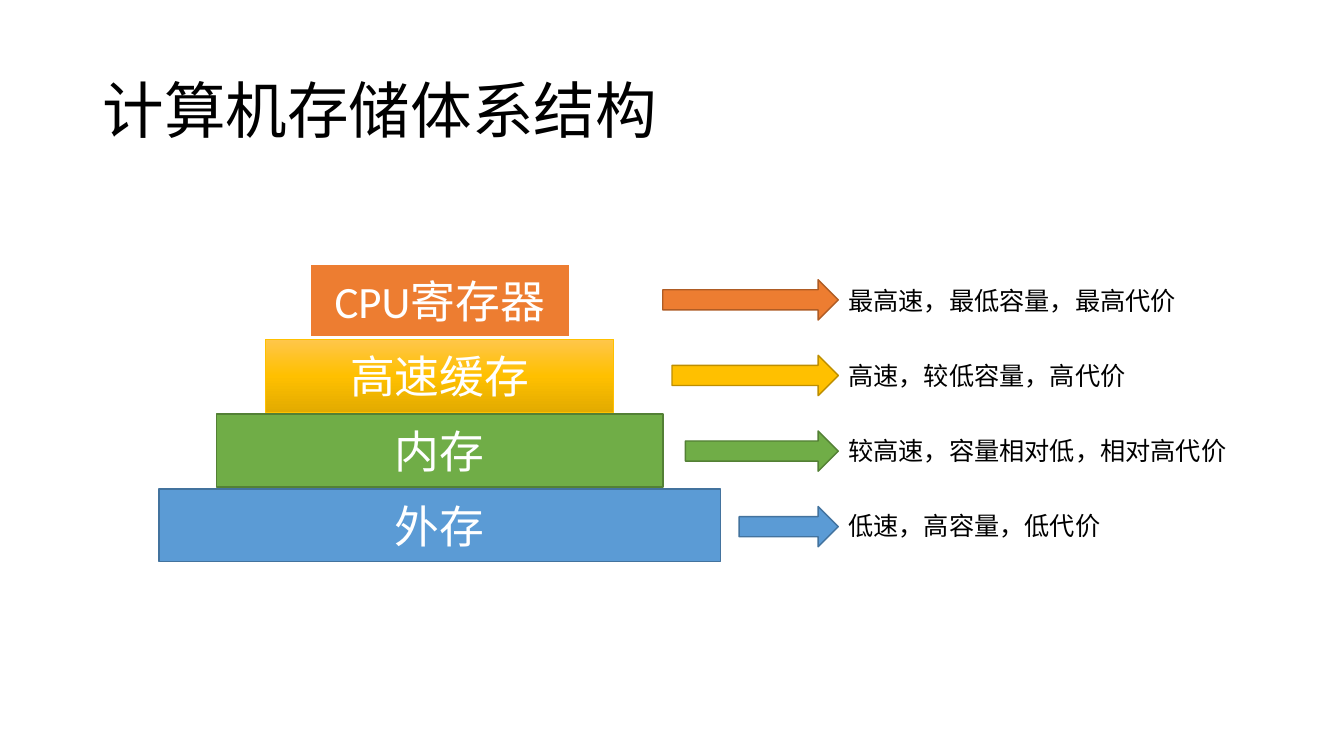
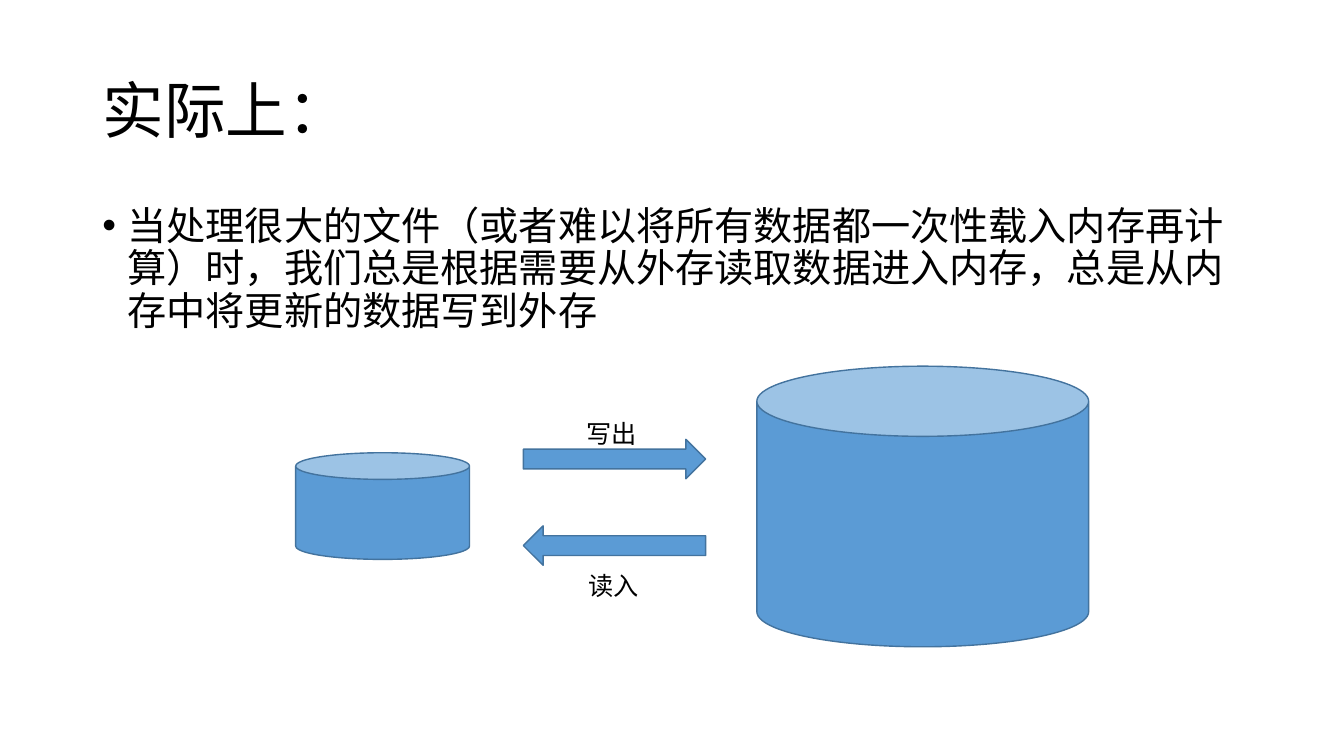
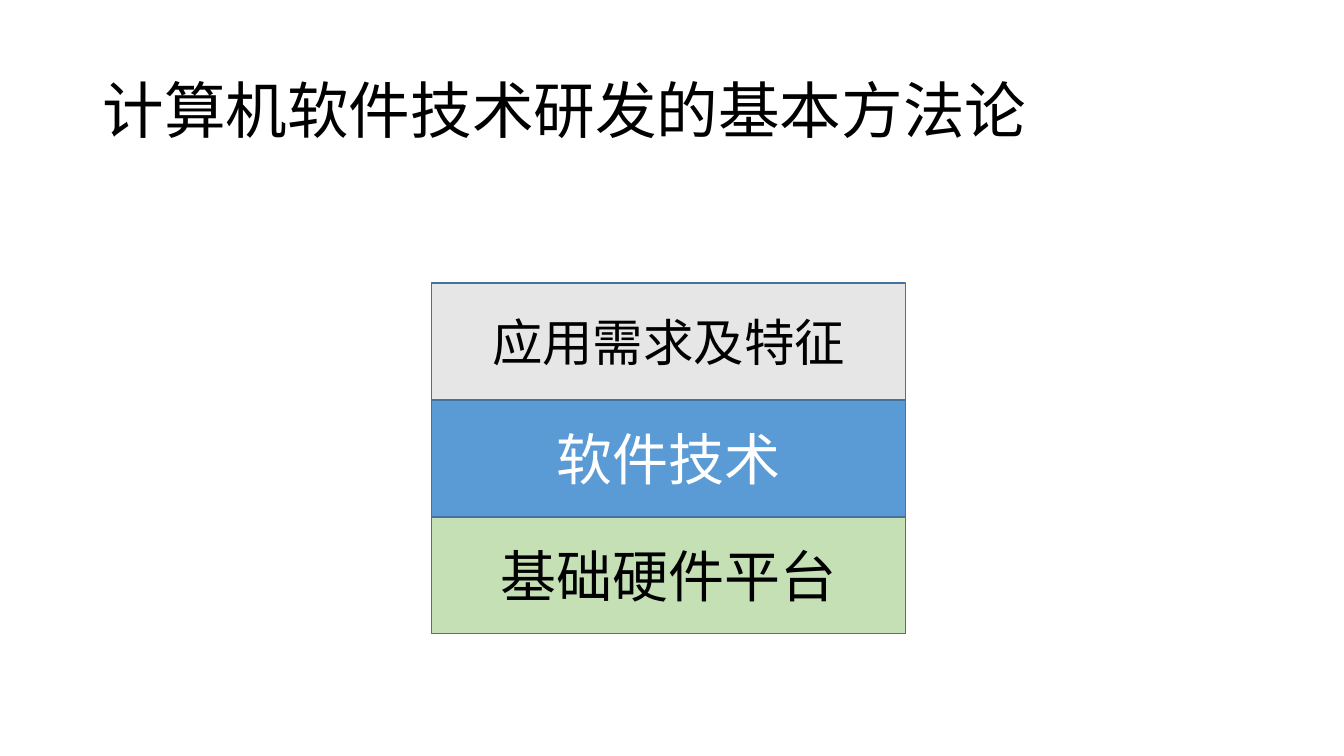
from copy import deepcopy

from lxml import etree
from pptx import Presentation
from pptx import util as u
from pptx.dml.color import RGBColor
from pptx.enum import shapes, text
from pptx.oxml.ns import qn

# Grid: 160 columns by 90 rows on a 13.33 by 7.5 inch slide
COLUMNS, ROWS = 160, 90
FONT = "Calibri"

BLACK = RGBColor(0x00, 0x00, 0x00)
WHITE = RGBColor(0xFF, 0xFF, 0xFF)
GRAY = RGBColor(0xE7, 0xE6, 0xE6)
PALE_GREEN = RGBColor(0xC5, 0xE0, 0xB4)
ORANGE = RGBColor(0xED, 0x7D, 0x31)
DARK_ORANGE = RGBColor(0xAF, 0x5C, 0x24)
GOLD = RGBColor(0xFF, 0xC0, 0x00)
LIGHT_GOLD = RGBColor(0xFF, 0xC6, 0x4B)
DEEP_GOLD = RGBColor(0xE3, 0xAB, 0x00)
DARK_GOLD = RGBColor(0xBD, 0x8E, 0x00)
GREEN = RGBColor(0x70, 0xAD, 0x47)
DARK_GREEN = RGBColor(0x53, 0x80, 0x35)
BLUE = RGBColor(0x5B, 0x9B, 0xD5)
DARK_BLUE = RGBColor(0x43, 0x73, 0x9E)

RECTANGLE = shapes.MSO_SHAPE.RECTANGLE
ARROW = shapes.MSO_SHAPE.RIGHT_ARROW
CAN = shapes.MSO_SHAPE.CAN
LEFT, CENTER = text.PP_ALIGN.LEFT, text.PP_ALIGN.CENTER
TOP, MIDDLE = text.MSO_ANCHOR.TOP, text.MSO_ANCHOR.MIDDLE


def write(frame, words, size=18, color=BLACK, align=LEFT, anchor=TOP,
          wrap=True, line_spacing=None, bullet=None):
    """Fill a text frame with one formatted paragraph."""
    frame.word_wrap = wrap
    frame.auto_size = text.MSO_AUTO_SIZE.NONE
    frame.vertical_anchor = anchor
    para = frame.paragraphs[0]
    if bullet:
        properties = para._p.get_or_add_pPr()
        properties.set("marL", str(u.Inches(0.25)))
        properties.set("indent", str(-u.Inches(0.25)))
        etree.SubElement(properties, qn("a:buFont")).set("typeface", "Arial")
        etree.SubElement(properties, qn("a:buChar")).set("char", bullet)
    para.alignment = align
    if line_spacing:
        para.line_spacing = line_spacing
    span = para.add_run()
    span.text = words
    span._r.get_or_add_rPr().set("lang", "zh-CN")
    span.font.name = FONT
    span.font.size = u.Pt(size)
    span.font.color.rgb = color


class Deck:
    """Holds the shared style and the page being built."""

    def __init__(self):
        self.file = Presentation()
        self.file.slide_width = u.Inches(13.333)
        self.file.slide_height = u.Inches(7.5)
        self.column = self.file.slide_width / COLUMNS
        self.row = self.file.slide_height / ROWS
        self.page = None

    def area(self, left, top, width, height):
        return (round(left * self.column), round(top * self.row),
                round(width * self.column), round(height * self.row))

    def add_page(self, title):
        self.page = self.file.slides.add_slide(self.file.slide_layouts[5])
        box = self.page.shapes.title
        box.left, box.top, box.width, box.height = self.area(11, 4.8, 138, 17.4)
        write(box.text_frame, title, size=44, anchor=MIDDLE, line_spacing=0.9)

    def add_text(self, words, left, top, width, height, **style):
        box = self.page.shapes.add_textbox(*self.area(left, top, width, height))
        write(box.text_frame, words, **style)

    def add_label(self, words, left, top):
        # One 18 pt character is three columns wide
        self.add_text(words, left, top, 3 * len(words) + 2.76, 4.8, wrap=False)

    def add_block(self, kind, left, top, width, height, fill=BLUE,
                  line=DARK_BLUE, weight=1, turn=0, words=None, **style):
        """A preset shape; a list of colours as fill makes a gradient."""
        block = self.page.shapes.add_shape(kind, *self.area(left, top, width, height))
        block.shadow.inherit = False
        block.rotation = turn
        block.line.color.rgb = line
        block.line.width = u.Pt(weight)
        if isinstance(fill, list):
            self.blend(block, fill)
        else:
            block.fill.solid()
            block.fill.fore_color.rgb = fill
        if words:
            write(block.text_frame, words, align=CENTER, anchor=MIDDLE, **style)

    @staticmethod
    def blend(block, colors):
        """Vertical gradient with evenly spaced stops."""
        block.fill.gradient()
        block.fill.gradient_angle = 270
        stops = block._element.spPr.find(".//" + qn("a:gsLst"))
        while len(stops) < len(colors):
            stops.append(deepcopy(stops[-1]))
        for index, (stop, color) in enumerate(zip(block.fill.gradient_stops, colors)):
            stop.position = index / (len(colors) - 1)
            stop.color.rgb = color


def storage_hierarchy(deck):
    deck.add_page("计算机存储体系结构")
    middle, arrow_end = 52.35, 99.8
    # name, tier width, tier fill, tier line, line weight,
    # arrow length, arrow fill, arrow line, remark
    tiers = [
        ("CPU寄存器", 31, ORANGE, WHITE, 1.5,
         20.9, ORANGE, DARK_ORANGE, "最高速，最低容量，最高代价"),
        ("高速缓存", 41.4, [LIGHT_GOLD, GOLD, DEEP_GOLD], GOLD, 0.5,
         19.8, GOLD, DARK_GOLD, "高速，较低容量，高代价"),
        ("内存", 53.2, GREEN, DARK_GREEN, 1,
         18.2, GREEN, DARK_GREEN, "较高速，容量相对低，相对高代价"),
        ("外存", 66.8, BLUE, DARK_BLUE, 1,
         11.8, BLUE, DARK_BLUE, "低速，高容量，低代价"),
    ]
    for index, (name, width, fill, line, weight,
                length, arrow_fill, arrow_line, remark) in enumerate(tiers):
        deck.add_block(RECTANGLE, middle - width / 2, 31.45 + 8.92 * index,
                       width, 8.67, fill, line, weight,
                       words=name, size=32, color=WHITE)
        deck.add_label(remark, arrow_end, 33.4 + 8.92 * index)
        deck.add_block(ARROW, arrow_end - length, 33.3 + 9 * index,
                       length, 4.8, arrow_fill, arrow_line)


def data_exchange(deck):
    deck.add_page("实际上：")
    deck.add_text(
        "当处理很大的文件（或者难以将所有数据都一次性载入内存再计算）时，"
        "我们总是根据需要从外存读取数据进入内存，"
        "总是从内存中将更新的数据写到外存",
        11, 24, 138, 57.1, size=28, line_spacing=0.9, bullet="•")
    # Small memory, large external storage
    deck.add_block(CAN, 35.2, 53.9, 20.7, 12.7)
    deck.add_block(CAN, 90.1, 43.6, 39.5, 33.4)
    # Writing out and reading in
    for top, turn in ((52.3, 0), (62.6, 180)):
        deck.add_block(ARROW, 62.3, top, 21.7, 4.7, turn=turn)
    deck.add_label("写出", 68.6, 49.2)
    deck.add_label("读入", 68.9, 67.3)


def method_layers(deck):
    deck.add_page("计算机软件技术研发的基本方法论")
    height = 13.92
    layers = [("应用需求及特征", GRAY, 36, BLACK),
              ("软件技术", BLUE, 40, WHITE),
              ("基础硬件平台", PALE_GREEN, 40, BLACK)]
    for index, (name, fill, size, color) in enumerate(layers):
        deck.add_block(RECTANGLE, 51.4, 33.7 + height * index, 56.4, height,
                       fill, words=name, size=size, color=color)


def main():
    deck = Deck()
    storage_hierarchy(deck)
    data_exchange(deck)
    method_layers(deck)
    deck.file.save("out.pptx")


if __name__ == "__main__":
    main()
